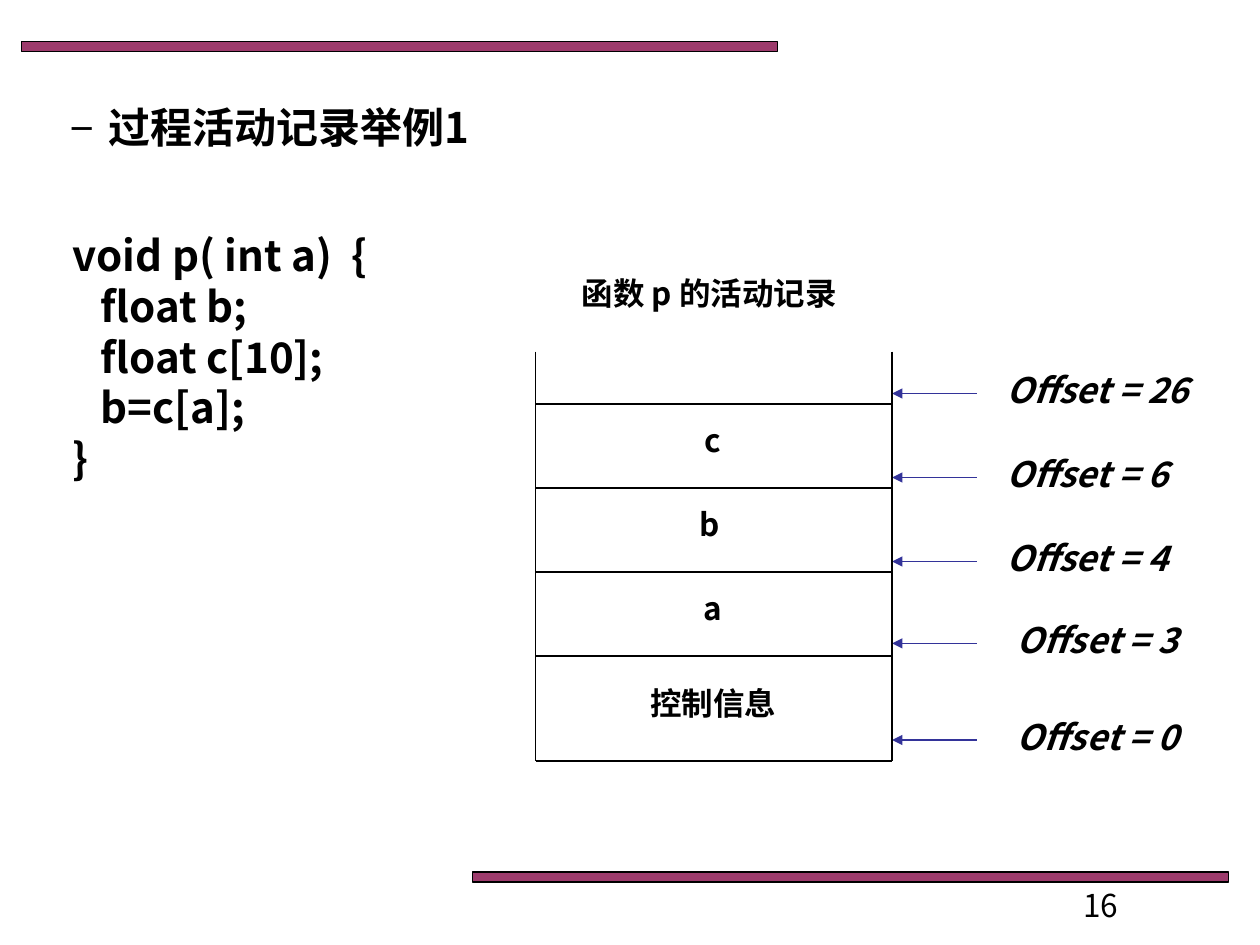
from lxml import etree
from pptx import Presentation
from pptx import util as u
from pptx.dml.color import RGBColor
from pptx.enum import shapes, text
from pptx.oxml.ns import qn

TITLE = "过程活动记录举例1"
CODE = [  # (indent level, statement)
    (0, "void p( int a)  {"),
    (1, "float b;"),
    (1, "float c[10];"),
    (1, "b=c[a];"),
    (0, "}"),
]
RECORD_CAPTION = "函数 p 的活动记录"
# Top to bottom: content, height, text drop, arrow height above the row's
# bottom (all in grid units), offset, left of the offset text, text centre
RECORD = [
    ("", 5, 0, 1, 26, 7.75, 5.66),
    ("c", 8, 1, 1, 6, 7.67, 5.66),
    ("b", 8, 1, 1, 4, 7.67, 5.63),
    ("a", 8, 1, 1.2, 3, 7.75, 5.66),
    ("控制信息", 10, 2, 2, 0, 7.75, 5.66),
]
PAGE = "16"
BARS = [(0.17, 0.33), (3.75, 6.92)]

THEME = {
    "font": "Noto Sans CJK SC",
    "ink": RGBColor(0, 0, 0),
    "bar": RGBColor(0x99, 0x33, 0x66),
    "arrow": RGBColor(0x33, 0x33, 0x99),
    "heading": 24,
    "offset": 20,
    "body": 18,
    "rule": 0.75,
    "leading": 1.21,
}

UNIT = 1 / 12
STACK_LEFT, STACK_RIGHT, STACK_TOP = 4.25, 7.08, 2.79
ARROW_START = 7.75
CELL_WIDTH = 2.69
CODE_INDENT = 0.22
BULLET_INDENT = 0.3

prs = Presentation()
prs.slide_width, prs.slide_height = u.Inches(10), u.Inches(7.5)
slide = prs.slides.add_slide(prs.slide_layouts[6])


def add_bar(left, top):
    bar = slide.shapes.add_shape(shapes.MSO_SHAPE.RECTANGLE, u.Inches(left), u.Inches(top),
                                 u.Inches(6), u.Inches(0.08))
    bar.shadow.inherit = False
    bar.fill.solid()
    bar.fill.fore_color.rgb = THEME["bar"]
    colour = bar.fill._xPr.find(qn("a:solidFill"))[0]
    etree.SubElement(colour, qn("a:alpha"), val="96000")
    bar.line.color.rgb = THEME["ink"]
    bar.line.width = u.Pt(THEME["rule"])


def add_rule(x1, y1, x2, y2, colour="ink", arrow=False):
    rule = slide.shapes.add_connector(shapes.MSO_CONNECTOR.STRAIGHT,
                                      *(u.Inches(v) for v in (x1, y1, x2, y2)))
    rule.line.color.rgb = THEME[colour]
    rule.line.width = u.Pt(THEME["rule"])
    if arrow:
        etree.SubElement(rule.line._get_or_add_ln(), qn("a:tailEnd"), type="triangle")
    etree.SubElement(rule._element.spPr, qn("a:effectLst"))


def add_text(lines, left, top, width, height, size="body", bold=True, italic=False,
             centred=False, wrap=True):
    """Add a text box from (left margin, string) lines and return its paragraphs."""
    frame = slide.shapes.add_textbox(*(u.Inches(v) for v in (left, top, width, height))).text_frame
    frame.word_wrap = wrap
    for number, (margin, words) in enumerate(lines):
        line = frame.add_paragraph() if number else frame.paragraphs[0]
        line.alignment = text.PP_ALIGN.CENTER if centred else text.PP_ALIGN.LEFT
        line.line_spacing = u.Pt(round(THEME[size] * THEME["leading"], 1))
        if margin:
            line._p.get_or_add_pPr().set("marL", str(u.Inches(margin)))
        run = line.add_run()
        run.text = words
        font = run.font
        font.name, font.size = THEME["font"], u.Pt(THEME[size])
        font.bold, font.italic = bold, italic
        font.color.rgb = THEME["ink"]
        etree.SubElement(run._r.get_or_add_rPr(), qn("a:ea"), typeface=THEME["font"])
    return frame.paragraphs


for corner in BARS:
    add_bar(*corner)

heading = add_text([(BULLET_INDENT, TITLE)], 0.46, 0.75, 6.62, 0.5, "heading")[0]
heading_props = heading._p.get_or_add_pPr()
heading_props.set("indent", str(-u.Inches(BULLET_INDENT)))
etree.SubElement(heading_props, qn("a:buFont"), typeface=THEME["font"])
etree.SubElement(heading_props, qn("a:buChar"), char="−")

add_text([(level * CODE_INDENT, statement) for level, statement in CODE],
         0.48, 1.77, 3.3, 2.12, "heading")
add_text([(0, RECORD_CAPTION)], 4.45, 2.12, 2.36, 0.4, centred=True, wrap=False)

row_top = STACK_TOP
for content, units, drop, lift, offset, offset_left, centre in RECORD:
    row_bottom = row_top + units * UNIT
    add_rule(STACK_LEFT, row_bottom, STACK_RIGHT, row_bottom)
    if content:
        add_text([(0, content)], centre - CELL_WIDTH / 2, row_top + drop * UNIT,
                 CELL_WIDTH, 0.4, centred=True)
    arrow_y = row_bottom - lift * UNIT
    add_rule(ARROW_START, arrow_y, STACK_RIGHT, arrow_y, "arrow", arrow=True)
    add_text([(0, f"Offset = {offset}")], offset_left, arrow_y - 0.25, 1.92, 0.44,
             "offset", italic=True, centred=True)
    row_top = row_bottom
for side in (STACK_LEFT, STACK_RIGHT):
    add_rule(side, STACK_TOP, side, row_bottom)

add_text([(0, PAGE)], 8.5, 6.98, 1.5, 0.18, bold=False)

prs.save("out.pptx")
